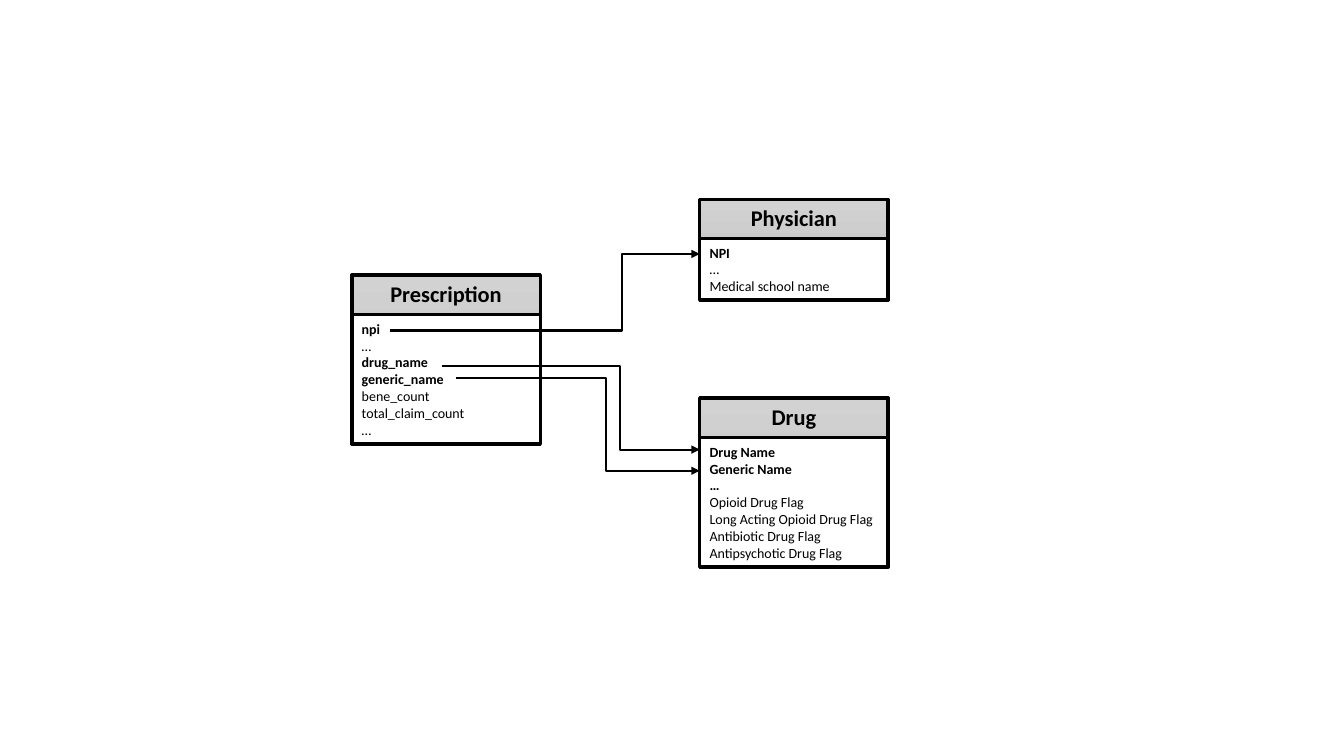
from dataclasses import dataclass

from lxml import etree
from pptx import Presentation, util as u
from pptx.dml.color import RGBColor
from pptx.enum import shapes, text
from pptx.oxml.ns import qn

INK = {"black": "000000", "white": "FFFFFF", "top": "D2D2D2", "low": "C0C0C0"}
FONT = "Calibri"

# Lengths are percentages of the slide's width or height
WIDE = 14.03   # width of an entity
HEAD = 5.17    # height of the visible title band
ROW = 2.26     # height of one field
PAD = 1.33     # top and bottom insets together
LEFT, RIGHT = 26.18, 52.06


@dataclass
class Entity:
    name: str
    x: float
    y: float
    back: float        # height of the shaded box behind the fields
    fields: list[str]
    keys: set[int]     # positions of the bold fields


@dataclass
class Link:
    x: float
    y: float
    turn: float
    end: float


ENTITIES = [
    Entity("Drug", RIGHT, 52.67, 20.4,
           ["Drug Name", "Generic Name", "…", "Opioid Drug Flag",
            "Long Acting Opioid Drug Flag", "Antibiotic Drug Flag",
            "Antipsychotic Drug Flag"], {0, 1, 2}),
    Entity("Physician", RIGHT, 26.4, 13.2,
           ["NPI", "…", "Medical school name"], {0}),
    Entity("Prescription", LEFT, 36.4, 20.4,
           ["npi", "…", "drug_name", "generic_name", "bene_count",
            "total_claim_count", "…"], {0, 2, 3}),
]
LINKS = [
    Link(29.03, 43.73, 46.29, 33.6),
    Link(32.86, 48.4, 46.14, 59.47),
    Link(33.91, 50, 45.09, 62.27),
]

deck = Presentation()
deck.slide_width, deck.slide_height = u.Inches(13.33), u.Inches(7.5)
slide = deck.slides.add_slide(deck.slide_layouts[6])


def across(x: float) -> int:
    return round(deck.slide_width * x / 100)


def down(y: float) -> int:
    return round(deck.slide_height * y / 100)


def hue(key: str) -> RGBColor:
    return RGBColor.from_string(INK[key])


def add_box(x: float, y: float, high: float, lines: list[str], bold: set[int],
            size: int, align: text.PP_ALIGN, anchor: text.MSO_ANCHOR):
    """Outlined box with one paragraph per line."""
    box = slide.shapes.add_shape(shapes.MSO_SHAPE.RECTANGLE, across(x), down(y),
                                 across(WIDE), down(high))
    box.shadow.inherit = False
    box.line.color.rgb = hue("black")
    box.line.width = u.Pt(2.5)
    frame = box.text_frame
    frame.word_wrap = True
    frame.vertical_anchor = anchor
    frame.text = "\n".join(lines)
    for i, para in enumerate(frame.paragraphs):
        para.alignment = align
        font = para.font
        font.name, font.size, font.bold = FONT, u.Pt(size), i in bold
        font.color.rgb = hue("black")
    return box


def add_entity(item: Entity) -> None:
    # Shaded title box
    title = add_box(item.x, item.y, item.back, [item.name], {0}, 16,
                    text.PP_ALIGN.CENTER, text.MSO_ANCHOR.TOP)
    title.fill.gradient()
    title.fill.gradient_angle = 270
    for stop, key in zip(title.fill.gradient_stops, ("top", "low")):
        stop.color.rgb = hue(key)
    # White field list over it
    high = len(item.fields) * ROW + PAD
    body = add_box(item.x, item.y + HEAD, high, item.fields, item.keys, 10,
                   text.PP_ALIGN.LEFT, text.MSO_ANCHOR.MIDDLE)
    body.fill.solid()
    body.fill.fore_color.rgb = hue("white")


def add_link(link: Link) -> None:
    line = slide.shapes.add_connector(
        shapes.MSO_CONNECTOR.ELBOW, across(link.x), down(link.y),
        across(RIGHT), down(link.end))
    line.line.color.rgb = hue("black")
    line.line.width = u.Pt(1.5)
    # Arrowhead, bend position and no shadow
    etree.SubElement(line.line._get_or_add_ln(), qn("a:tailEnd"), type="triangle")
    props = line._element.spPr
    share = round((link.turn - link.x) / (RIGHT - link.x) * 100000)
    bends = props.find(qn("a:prstGeom")).find(qn("a:avLst"))
    etree.SubElement(bends, qn("a:gd"), name="adj1", fmla=f"val {share}")
    etree.SubElement(props, qn("a:effectLst"))


# Entities, then the key relations
for item in ENTITIES:
    add_entity(item)
for link in LINKS:
    add_link(link)

deck.save("out.pptx")
